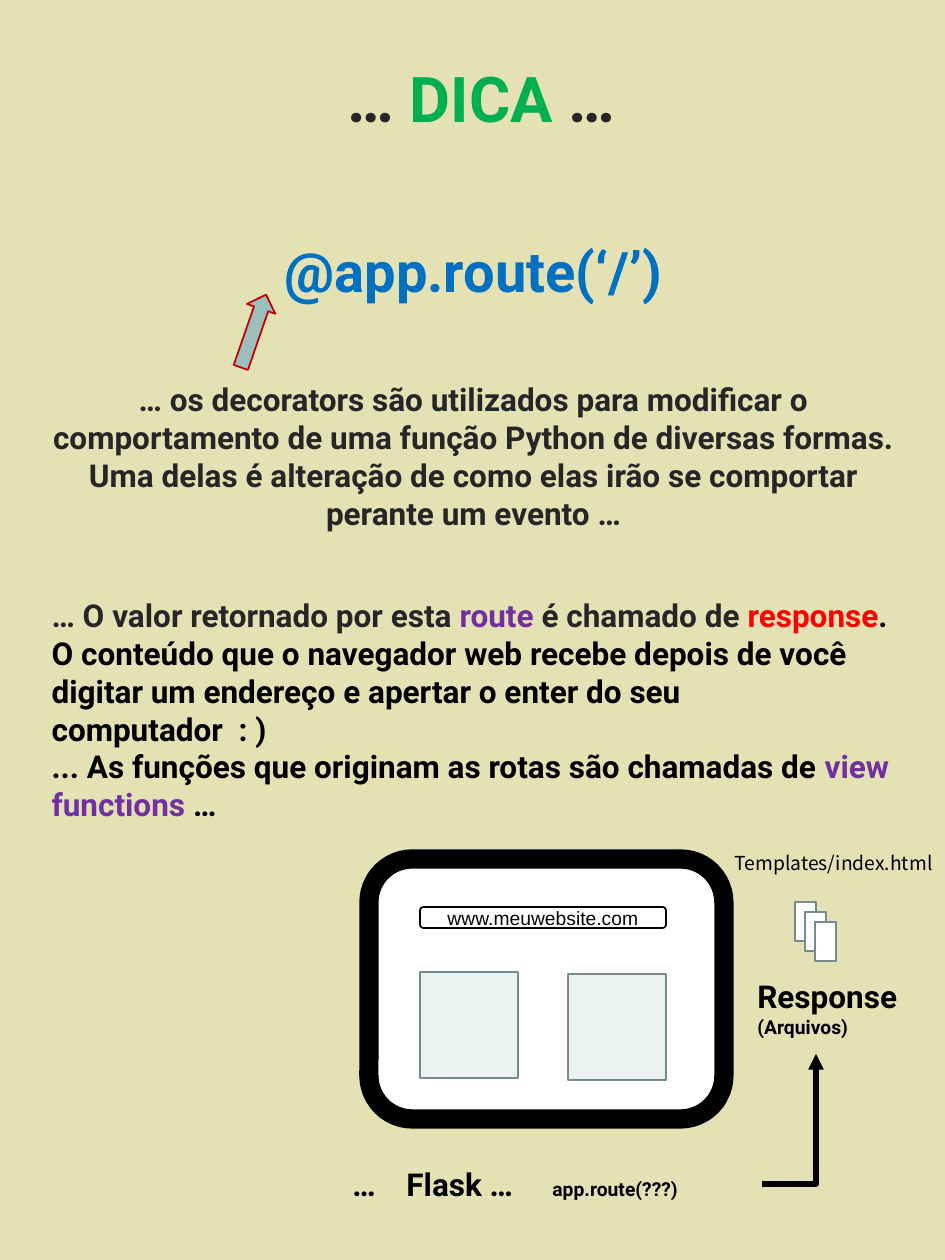
from lxml import etree
from pptx import Presentation
from pptx import util as u
from pptx.dml.color import RGBColor
from pptx.enum import shapes, text
from pptx.oxml.ns import qn

PX = u.Inches(1) // 126
SHAPE = shapes.MSO_SHAPE
ALIGN = text.PP_ALIGN

SAND = RGBColor(0xE4, 0xE1, 0xB4)
BLACK = RGBColor(0, 0, 0)
WHITE = RGBColor(0xFF, 0xFF, 0xFF)
INK = RGBColor(0x26, 0x26, 0x26)
GREEN = RGBColor(0x00, 0xB0, 0x50)
BLUE = RGBColor(0x00, 0x70, 0xC0)
PURPLE = RGBColor(0x70, 0x30, 0xA0)
RED = RGBColor(0xFF, 0, 0)
MIST = RGBColor(0xEB, 0xF2, 0xF2)
TEAL = RGBColor(0x9C, 0xBE, 0xBD)
SLATE = RGBColor(0x73, 0x8D, 0x8C)
CRIMSON = RGBColor(0xC0, 0, 0)


def px(*values):
    return [v * PX for v in values]


def add_text(p, content, size=18, color=BLACK, font="Roboto", bold=True):
    for i, line in enumerate(content.split("\n")):
        if i:
            p.add_line_break()
        r = p.add_run()
        r.text = line
        r.font.name = font
        r.font.size = u.Pt(size)
        r.font.bold = bold
        r.font.color.rgb = color


class Page:
    def __init__(self, prs):
        self.s = prs.slides.add_slide(prs.slide_layouts[1])
        self.s.background.fill.solid()
        self.s.background.fill.fore_color.rgb = SAND
        title = self.s.shapes.title
        title._element.getparent().remove(title._element)

    def body(self, box, paragraphs, inset):
        sp = self.s.placeholders[1]
        sp.left, sp.top, sp.width, sp.height = px(*box)
        tf = sp.text_frame
        tf.auto_size = text.MSO_AUTO_SIZE.NONE
        tf.vertical_anchor = text.MSO_ANCHOR.TOP
        tf.margin_top = inset * PX
        for i, (align, gap, size, runs) in enumerate(paragraphs):
            p = tf.add_paragraph() if i else tf.paragraphs[0]
            pPr = p._p.get_or_add_pPr()
            pPr.set("marL", "0")
            pPr.set("indent", "0")
            etree.SubElement(pPr, qn("a:buNone"))
            p.alignment = align
            p.space_before = u.Pt(gap)
            p.line_spacing = u.Pt(size * 1.2)
            for content, color in runs:
                add_text(p, content, size=size, color=color)

    def label(self, box, paragraphs, align=ALIGN.LEFT, tabs=(), **style):
        tf = self.s.shapes.add_textbox(*px(*box)).text_frame
        tf.word_wrap = True
        for i, runs in enumerate(paragraphs):
            p = tf.add_paragraph() if i else tf.paragraphs[0]
            if tabs:
                stops = etree.SubElement(p._p.get_or_add_pPr(), qn("a:tabLst"))
                for stop in tabs:
                    etree.SubElement(stops, qn("a:tab"), pos=str(stop * PX), algn="l")
            p.alignment = align
            for content, size in runs:
                add_text(p, content, size=size, **style)

    def shape(self, kind, box, fill=WHITE, line=SLATE, weight=1, rotation=0):
        sp = self.s.shapes.add_shape(kind, *px(*box))
        sp.shadow.inherit = False
        sp.fill.solid()
        sp.fill.fore_color.rgb = fill
        sp.line.color.rgb = line
        sp.line.width = u.Pt(weight)
        sp.rotation = rotation

    def bent_arrow(self, ends, color=BLACK, weight=3):
        sp = self.s.shapes.add_connector(shapes.MSO_CONNECTOR.ELBOW, *px(*ends))
        sp.line.color.rgb = color
        sp.line.width = u.Pt(weight)
        spPr = sp._element.spPr
        spPr.find(qn("a:prstGeom")).set("prst", "bentConnector2")
        etree.SubElement(spPr.find(qn("a:ln")), qn("a:tailEnd"), type="triangle")
        etree.SubElement(spPr, qn("a:effectLst"))


def main():
    prs = Presentation()
    prs.slide_width, prs.slide_height = u.Inches(7.5), u.Inches(10)
    page = Page(prs)

    page.body((39, 49, 869, 858), [
        (ALIGN.CENTER, 0, 36, [(" … ", INK), ("DICA", GREEN), (" …", INK)]),
        (ALIGN.CENTER, 58, 32, [("@app.route(‘/’)", BLUE)]),
        (ALIGN.CENTER, 44, 18, [
            ("… os decorators são utilizados para modificar o comportamento de "
             "uma função Python de diversas formas. Uma delas é alteração de "
             "como elas irão se comportar perante um evento …", INK)]),
        (ALIGN.LEFT, 37, 18, [
            ("… O valor retornado por esta ", INK),
            ("route", PURPLE),
            (" é chamado de ", INK),
            ("response", RED),
            (". O conteúdo que o navegador web recebe depois de você digitar "
             "um endereço e apertar o enter do seu\ncomputador  : )\n"
             "... As funções que originam as rotas são chamadas de ", BLACK),
            ("view functions ", PURPLE),
            ("…", BLACK)]),
    ], inset=10)

    page.shape(SHAPE.ROUNDED_RECTANGLE, (369, 859, 355, 260), line=BLACK, weight=11)
    page.shape(SHAPE.ROUNDED_RECTANGLE, (420, 907, 246, 21), line=BLACK)
    page.label((420, 900, 246, 36), [[("www.meuwebsite.com", 11)]],
               align=ALIGN.CENTER, font="Arial", bold=False)
    for left, top in ((420, 972), (568, 974)):
        page.shape(SHAPE.RECTANGLE, (left, top, 98, 106), fill=MIST)

    page.label((745, 971, 296, 74), [[("Response", 18)], [("(Arquivos)", 11)]])
    page.label((340, 1159, 422, 50),
               [[("…\tFlask …\t", 18), ("app.route(???)", 11)]], tabs=(54, 200))
    page.bent_arrow((762, 1184, 816, 1054))

    for i in range(3):
        page.shape(SHAPE.RECTANGLE, (795 + 10 * i, 902 + 10 * i, 21, 39))
    page.label((722, 845, 307, 37), [[("Templates/index.html", 11)]],
               font="Noto Sans CJK JP", bold=False)
    page.shape(SHAPE.RIGHT_ARROW, (215, 316, 77, 30), fill=TEAL, line=CRIMSON,
               rotation=289.1)

    prs.save("out.pptx")


if __name__ == "__main__":
    main()
